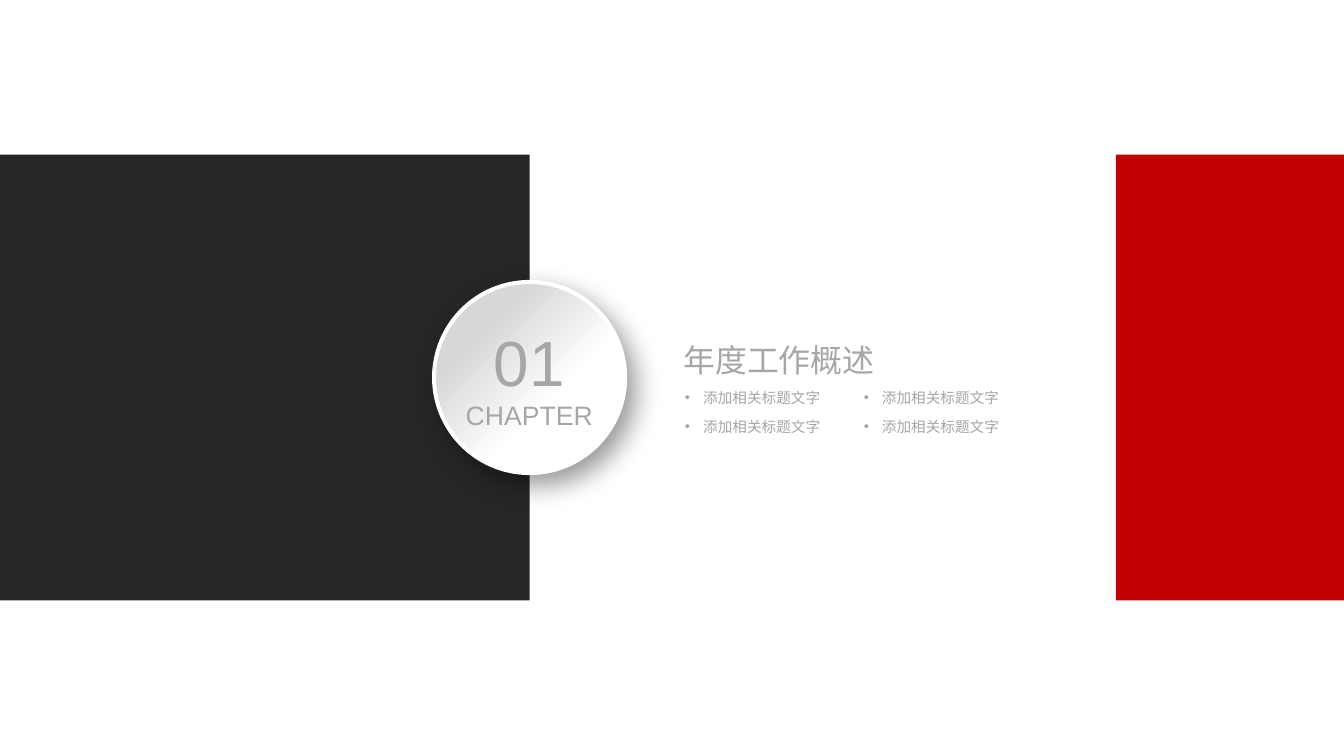
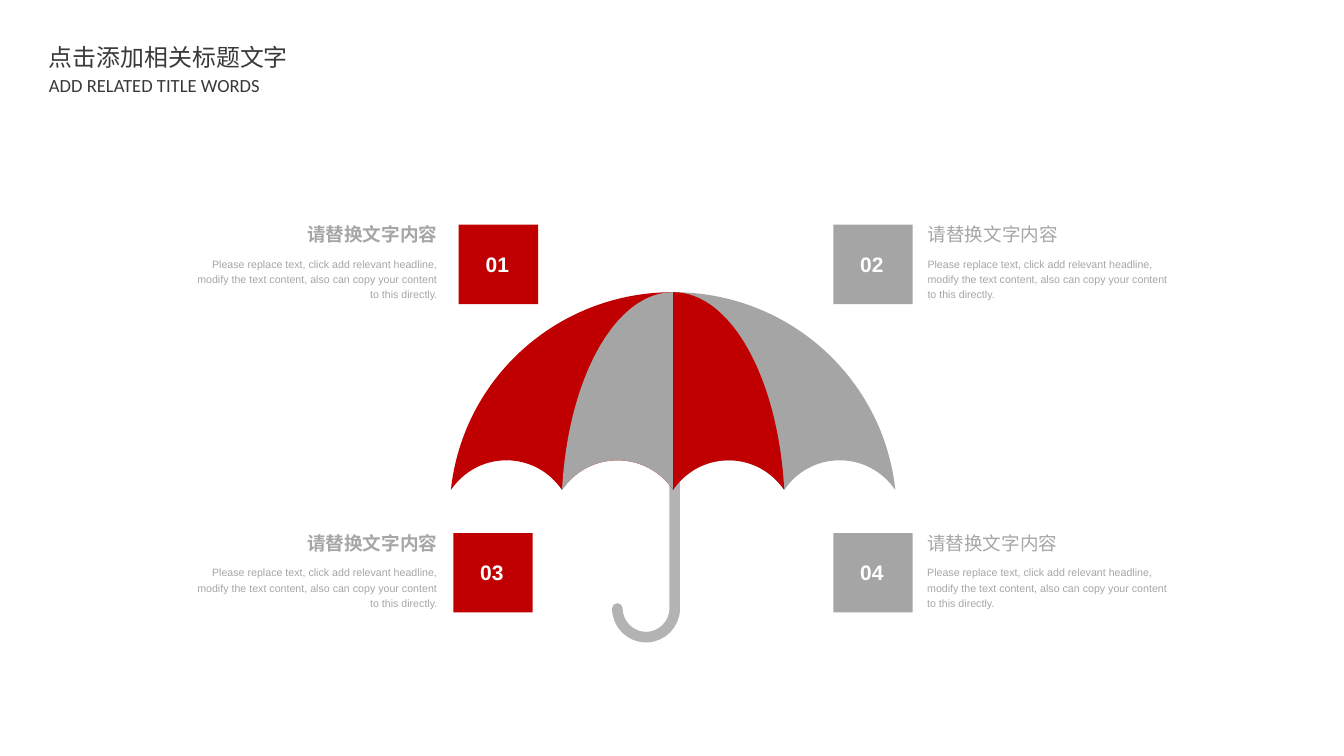
from lxml import etree
from pptx import Presentation
from pptx import util as u
from pptx.dml.color import RGBColor
from pptx.enum import shapes, text
from pptx.oxml import ns

Pt = u.Pt
RED, DARK, GRAY, PALE = "C00000", "262626", "A5A5A5", "A6A6A6"
WHITE, POLE, HEAD = "FFFFFF", "B3B3B3", "3B3838"
WIDE, HIGH = 1012.5, 569.5
CJK = "Noto Sans CJK SC"
ALIGN = {"l": text.PP_ALIGN.LEFT, "c": text.PP_ALIGN.CENTER, "r": text.PP_ALIGN.RIGHT}


def rgb(code):
    return RGBColor.from_string(code)


def sub(node, tag, **attrs):
    """Append an XML child with the given attributes."""
    child = etree.SubElement(node, ns.qn(tag))
    for key, value in attrs.items():
        child.set(key, str(value))
    return child


def bend(item):
    """Turn each three line segments into one cubic curve; a rest stays straight."""
    lines = list(item.element.iter(ns.qn("a:lnTo")))
    for i in range(0, len(lines) - 2, 3):
        arc = etree.Element(ns.qn("a:cubicBezTo"))
        lines[i].addprevious(arc)
        for line in lines[i:i + 3]:
            arc.append(line[0])
            line.getparent().remove(line)


class Deck:
    def __init__(self):
        self.prs = Presentation()
        self.prs.slide_width, self.prs.slide_height = Pt(WIDE), Pt(HIGH)
        self.page = None

    def new(self):
        self.page = self.prs.slides.add_slide(self.prs.slide_layouts[6])

    def shape(self, kind, x, y, w, h, fill=None):
        item = self.page.shapes.add_shape(kind, Pt(x), Pt(y), Pt(w), Pt(h))
        item.shadow.inherit = False
        item.line.fill.background()
        if fill:
            item.fill.solid()
            item.fill.fore_color.rgb = rgb(fill)
        return item

    def rect(self, *box):
        return self.shape(shapes.MSO_SHAPE.RECTANGLE, *box)

    def disc(self, x, y, size):
        """White-rimmed gradient circle with a soft shadow."""
        item = self.shape(shapes.MSO_SHAPE.OVAL, x, y, size, size)
        item.fill.gradient()
        item.fill.gradient_angle = 315
        for stop, spot, code in zip(item.fill.gradient_stops, (0.25, 0.62), ("D7D7D7", WHITE)):
            stop.position = spot
            stop.color.rgb = rgb(code)
        item.line.color.rgb = rgb(WHITE)
        item.line.width = Pt(3)
        glow = item.element.spPr.find(ns.qn("a:effectLst"))
        shade = sub(glow, "a:outerShdw", blurRad=Pt(20), dist=Pt(10), dir=50 * 60000,
                    algn="ctr", rotWithShape=0)
        sub(sub(shade, "a:srgbClr", val="000000"), "a:alpha", val=40000)

    def curve(self, group, pts, fill=None, line=None, width=8):
        """Filled curved outline, or an open round-ended stroke."""
        pts = [(Pt(x), Pt(y)) for x, y in pts]
        maker = group.shapes.build_freeform(*pts[0])
        maker.add_line_segments(pts[1:], close=False)
        item = maker.convert_to_shape()
        bend(item)
        item.shadow.inherit = False
        if fill:
            item.fill.solid()
            item.fill.fore_color.rgb = rgb(fill)
            item.line.fill.background()
        else:
            item.fill.background()
            item.line.color.rgb = rgb(line)
            item.line.width = Pt(width)
            item.element.spPr.find(ns.qn("a:ln")).set("cap", "rnd")

    def text(self, x, y, w, h, *runs, color=PALE, font="Arial", bold=False, align="l",
             pad=(0, 0), gap=1.0, mid=False, wrap=True, dot=0):
        """Text box; each run is (words, size) in its own paragraph."""
        box = self.page.shapes.add_textbox(Pt(x), Pt(y), Pt(w), Pt(h))
        frame = box.text_frame
        anchor = text.MSO_ANCHOR.MIDDLE if mid else text.MSO_ANCHOR.TOP
        style = {"margin_left": Pt(pad[0]), "margin_right": Pt(pad[0]),
                 "margin_top": Pt(pad[1]), "margin_bottom": Pt(pad[1]),
                 "word_wrap": wrap, "vertical_anchor": anchor}
        for key, value in style.items():
            setattr(frame, key, value)
        for i, (words, size) in enumerate(runs):
            para = frame.add_paragraph() if i else frame.paragraphs[0]
            para.alignment = ALIGN[align]
            para.line_spacing = gap
            if dot:
                props = para._p.get_or_add_pPr()
                props.set("marL", str(Pt(dot)))
                props.set("indent", str(-Pt(dot)))
                sub(props, "a:buFont", typeface="Arial")
                sub(props, "a:buChar", char="•")
            run = para.add_run()
            run.text = words
            for key, value in {"size": Pt(size), "name": font, "bold": bold}.items():
                setattr(run.font, key, value)
            run.font.color.rgb = rgb(color)
            sub(run._r.get_or_add_rPr(), "a:ea", typeface=CJK)

    def title(self, main, minor):
        look = {"color": HEAD, "pad": (7.6, 3.6), "wrap": False}
        self.text(29.3, 28.6, 197.3, 29.5, (main, 18), font=CJK, **look)
        self.text(29.3, 51.8, 175.7, 24.5, (minor, 14), font="Calibri", **look)


def chapter(deck):
    deck.new()
    # Side bands
    top, tall, left, right = 116.6, 335.8, 399, 840.6
    deck.rect(0, top, left, tall, DARK)
    deck.rect(right, top, WIDE - right, tall, RED)
    # Chapter number
    deck.disc(left - 72, 212.4, 144)
    deck.text(339, 243, 119.5, 82, ("01", 48), ("CHAPTER", 20), align="c", mid=True)
    # Heading and topics
    deck.text(514.8, 256.3, 250.6, 28.8, ("年度工作概述", 24))
    for y in (289.4, 311):
        for x in (509, 643.7):
            deck.text(x, y, 117.4, 20.9, ("添加相关标题文字", 11),
                      pad=(7.2, 3.6), wrap=False, dot=13.7)


def brolly(deck):
    mid, top, drop, half, rise = 507.1, 220.1, 149, 167.4, 22.3
    step = half / 2
    group = deck.page.shapes.add_group_shape()

    # Handle: half-circle hook and straight pole
    end, low, rad = 508.3, 458.4, 21.6
    pull = rad * 0.55
    mouth, base = end - rad, low + rad
    deck.curve(group, [(mouth - rad, low), (mouth - rad, low + pull), (mouth - pull, base),
                       (mouth, base), (mouth + pull, base), (end, low + pull), (end, low),
                       (end, 287.3)], line=POLE)

    # Canopy: broad panels behind, half as wide ones in front
    arch = [(9.4, 13.7), (24.5, rise), (step / 2, rise),
            (step - 24.5, rise), (step - 9.4, 13.7), (step, 0)]
    for side, count, fill in ((1, 2, GRAY), (-1, 2, RED), (-1, 1, GRAY), (1, 1, RED)):
        span = count / 2
        pts = [(0, 0), (87 * span, 0), (158.4 * span, 64.8), (half * span, drop)]
        for i in range(count, 0, -1):
            pts += [(i * step - x, drop - y) for x, y in arch]
        pts.append((0, 0))
        deck.curve(group, [(mid + side * x, top + y) for x, y in pts], fill)


def points(deck):
    deck.new()
    brolly(deck)
    # Four numbered notes around the umbrella
    body = ("Please replace text, click add relevant headline, modify the text content, "
            "also can copy your content to this directly.")
    left = {"align": "r", "gap": 1.2}
    right = {"align": "l", "gap": 1.2}
    size = 59.8
    cards = (("01", 142.4, 156.3, 345.6, RED, left), ("02", 698.8, 156.3, 627.8, GRAY, right),
             ("03", 142.4, 388.6, 341.5, RED, left), ("04", 698.5, 388.6, 627.8, GRAY, right))
    for num, x, y, tile, fill, look in cards:
        wide = 187.2 if look is left else 189.4
        deck.text(x, y + 0.5, wide, 28, ("请替换文字内容", 14), bold=look is left,
                  pad=(0, 7.9), **look)
        deck.text(x, y + 36, wide, 49, (body, 8), **look)
        deck.rect(tile, y + 13, size, size, fill)
        deck.text(tile + 5, y + 20.9, 48.2, 39.6, (num, 15.8), color=WHITE, bold=True,
                  align="c", pad=(0, 7.9), gap=1.2, mid=True)
    deck.title("点击添加相关标题文字", "ADD RELATED TITLE WORDS")


def main():
    deck = Deck()
    chapter(deck)
    points(deck)
    deck.prs.save("out.pptx")


if __name__ == "__main__":
    main()
